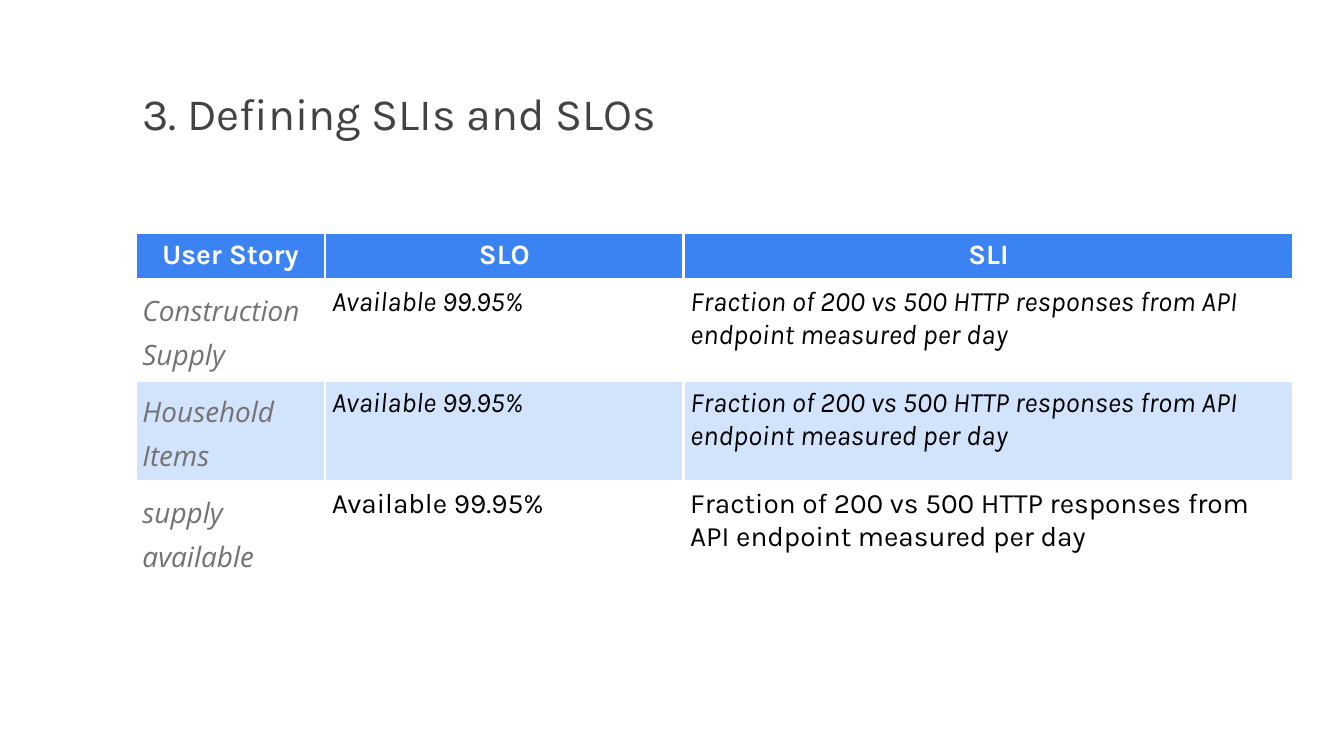
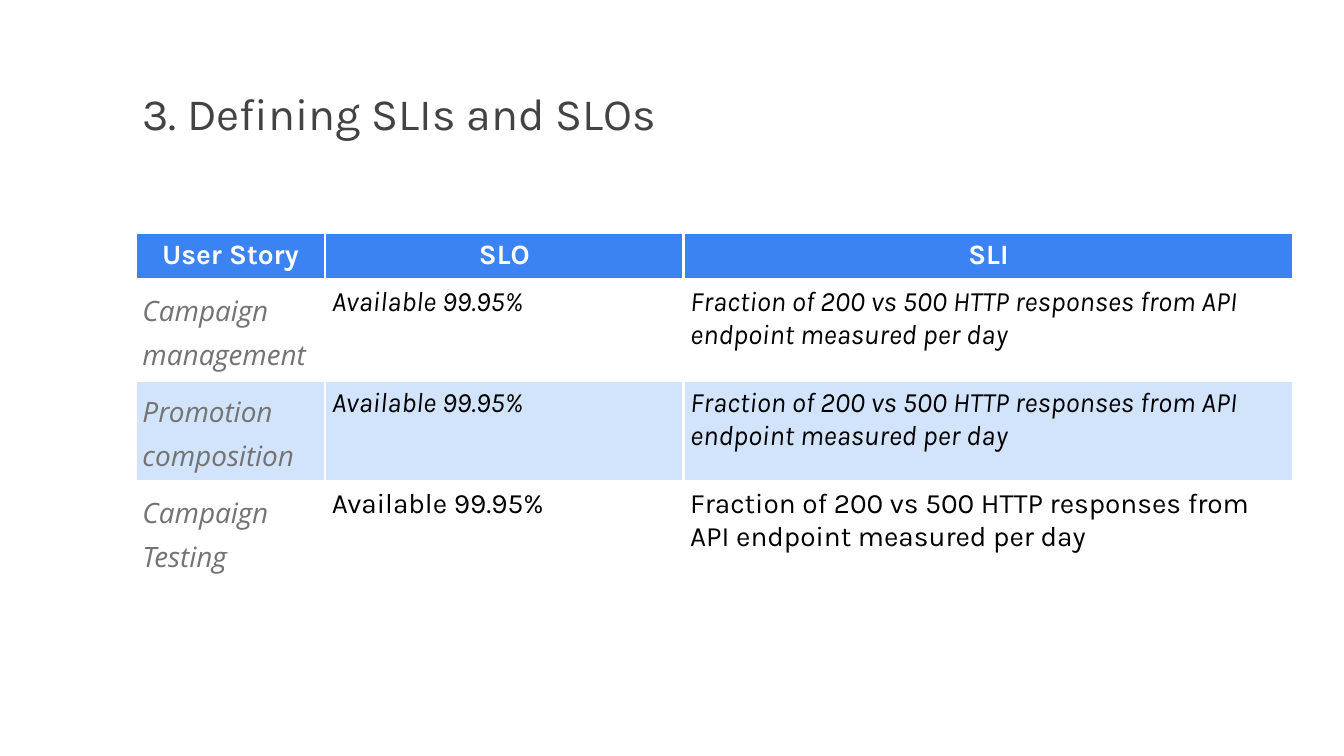
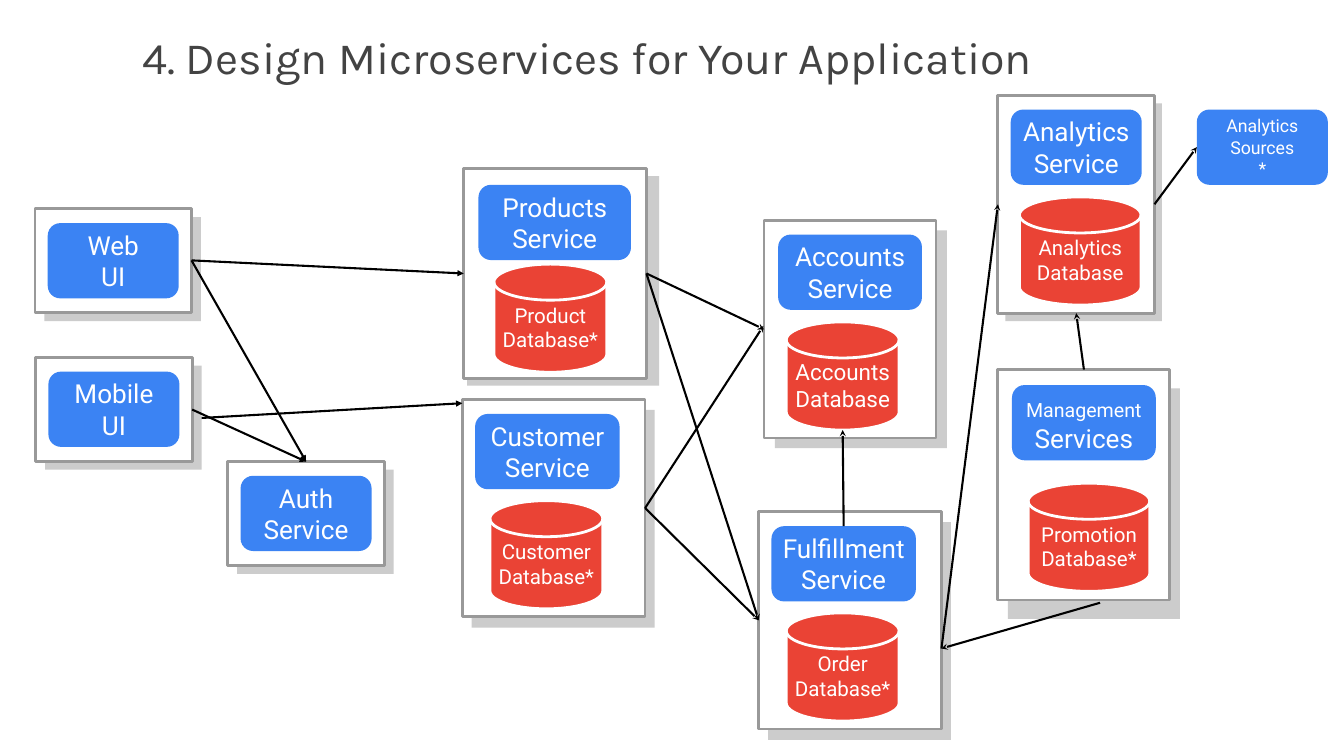
from dataclasses import dataclass, field

import pptx
import pptx.dml.color
import pptx.enum.shapes
import pptx.enum.text
import pptx.oxml
import pptx.oxml.ns
import pptx.util
from lxml import etree

PX = 9144  # EMU per px, 100 px to the inch
SHAPE = pptx.enum.shapes.MSO_SHAPE
CENTER = pptx.enum.text.PP_ALIGN.CENTER
ANCHOR = pptx.enum.text.MSO_ANCHOR
TOP, LEFT, BOTTOM, RIGHT = range(4)


@dataclass(frozen=True)
class Theme:
    white: str = "FFFFFF"
    black: str = "000000"
    blue: str = "3B83F3"
    pale_blue: str = "D2E3FC"
    red: str = "EA4335"
    shadow: str = "CCCCCC"
    frame: str = "999999"
    outline: float = 3
    arrow: float = 2.25
    inset: int = 10
    title: dict = field(default_factory=lambda: dict(name="Karla", size=48, color="434343"))
    header: dict = field(default_factory=lambda: dict(name="Karla", size=30, color="FFFFFF", bold=True))
    story: dict = field(default_factory=lambda: dict(name="Open Sans", size=30, color="737373", italic=True))
    body: dict = field(default_factory=lambda: dict(name="Karla", size=30, color="000000"))
    service: dict = field(default_factory=lambda: dict(name="Roboto", size=28, color="FFFFFF"))
    database: dict = field(default_factory=lambda: dict(name="Roboto", size=22, color="FFFFFF"))


THEME = Theme()


# Shared helpers
def px(*values):
    return [round(v * PX) for v in values]


def rgb(value):
    return pptx.dml.color.RGBColor.from_string(value)


def set_attrs(obj, **values):
    for name, value in values.items():
        setattr(obj, name, value)


def set_margins(obj):
    for side in ("left", "right", "top", "bottom"):
        setattr(obj, f"margin_{side}", THEME.inset * PX)


def format_font(font, fmt):
    for name, value in fmt.items():
        if name == "color":
            font.color.rgb = rgb(value)
        else:
            setattr(font, name, pptx.util.Pt(value) if name == "size" else value)


def write(tf, paragraphs, fmt, **para_format):
    """Each paragraph is a string or a list of (text, size) runs."""
    for i, content in enumerate(paragraphs):
        p = tf.add_paragraph() if i else tf.paragraphs[0]
        set_attrs(p, **para_format)
        runs = [(content, fmt["size"])] if isinstance(content, str) else content
        for text, size in runs:
            r = p.add_run()
            r.text = text
            format_font(r.font, {**fmt, "size": size})


def set_frame(tf, anchor):
    set_attrs(tf, word_wrap=True, vertical_anchor=anchor)
    set_margins(tf)


def add_box(s, kind, box, fill, outline=None, lines=(), fmt=None):
    sp = s.shapes.add_shape(kind, *px(*box))
    sp.shadow.inherit = False
    sp.fill.solid()
    sp.fill.fore_color.rgb = rgb(fill)
    if outline:
        sp.line.color.rgb = rgb(outline)
        sp.line.width = pptx.util.Pt(THEME.outline)
    else:
        sp.line.fill.background()
    if lines:
        set_frame(sp.text_frame, ANCHOR.MIDDLE)
        write(sp.text_frame, lines, fmt, alignment=CENTER)
    return sp


def add_title(s, text, top):
    tf = s.shapes.add_textbox(*px(202, top, 1598, 118)).text_frame
    set_frame(tf, ANCHOR.TOP)
    write(tf, [text], THEME.title)


# Tables of objectives
COLUMNS = [282, 533, 908]
ROW_HEIGHTS = [64, 150, 150, 150, 31]
SLO = "Available 99.95%"
SLI = "Fraction of 200 vs 500 HTTP responses from API endpoint measured per day"


def add_cell_borders(cell):
    tc_pr = cell._tc.get_or_add_tcPr()
    for side in "LRTB":
        ln = etree.SubElement(tc_pr, pptx.oxml.ns.qn(f"a:ln{side}"),
                              w=str(pptx.util.Pt(THEME.outline)))
        fill = etree.SubElement(ln, pptx.oxml.ns.qn("a:solidFill"))
        etree.SubElement(fill, pptx.oxml.ns.qn("a:srgbClr"), val=THEME.white)


def fill_cell(cell, color, text, fmt, **para_format):
    set_margins(cell)
    add_cell_borders(cell)
    if color:
        cell.fill.solid()
        cell.fill.fore_color.rgb = rgb(color)
    else:
        cell.fill.background()
    if text:
        write(cell.text_frame, [text], fmt, **para_format)


def add_objectives_table(s, left, top, stories):
    frame = s.shapes.add_table(len(ROW_HEIGHTS), len(COLUMNS),
                               *px(left, top, sum(COLUMNS), sum(ROW_HEIGHTS)))
    table = frame.table
    set_attrs(table, first_row=False, horz_banding=False)
    for column, width in zip(table.columns, COLUMNS):
        column.width = width * PX
    for row, height in zip(table.rows, ROW_HEIGHTS):
        row.height = height * PX

    for c, text in enumerate(["User Story", "SLO", "SLI"]):
        fill_cell(table.cell(0, c), THEME.blue, text, THEME.header, alignment=CENTER)
    for r, story in enumerate(stories, 1):
        color = THEME.pale_blue if r == 2 else None
        body = {**THEME.body, "italic": r < len(stories)}
        fill_cell(table.cell(r, 0), color, story, THEME.story,
                  line_spacing=1.15, space_after=pptx.util.Pt(16))
        fill_cell(table.cell(r, 1), color, SLO, body)
        fill_cell(table.cell(r, 2), color, SLI, body)
    for c in range(len(COLUMNS)):
        fill_cell(table.cell(len(ROW_HEIGHTS) - 1, c), None, "", THEME.body)


def build_objectives_slide(s, stories):
    add_title(s, "3. Defining SLIs and SLOs", 118)
    add_objectives_table(s, 202, 346, stories)


# Microservice diagram
BUTTON_H, DISK_H = 112, 161


@dataclass
class Service:
    box: tuple
    lines: list
    button: tuple              # dx, dy, width
    shadow: tuple = (14, 12, 0)  # dx, dy, extra width
    disk: tuple = ()           # dx, dy, width
    database: list = ()
    database_size: int = THEME.database["size"]


SERVICES = {
    "web": Service((52, 310, 233, 155), ["Web", "UI"], (19, 22, 195), (14, 13, 0)),
    "mobile": Service((53, 532, 233, 155), ["Mobile", "UI"], (19, 21, 195)),
    "auth": Service((339, 687, 233, 155), ["Auth", "Service"], (19, 21, 195)),
    "products": Service((690, 251, 272, 312), ["Products", "Service"], (22, 24, 227),
                        (5, 11, 14), (45, 142, 168), ["Product", "Database*"]),
    "accounts": Service((1137, 328, 256, 324), ["Accounts", "Service"], (21, 21, 214),
                        (16, 15, 0), (33, 151, 168), ["Accounts", "Database"], 24),
    "customer": Service((688, 594, 272, 324), ["Customer", "Service"], (19, 22, 215),
                        (14, 16, 0), (41, 151, 168), ["Customer", "Database*"]),
    "management": Service((1485, 550, 256, 343), [[("Management", 21), (" Services", 28)]],
                          (21, 23, 214), (15, 28, 0), (45, 169, 181), ["Promotion Database*"]),
    "analytics": Service((1485, 142, 233, 324), ["Analytics", "Service"], (19, 21, 195),
                         (11, 12, 0), (32, 151, 181), ["Analytics Database"]),
    "fulfillment": Service((1129, 761, 272, 324), ["Fulfillment", "Service"], (19, 22, 215),
                           (14, 16, 0), (41, 151, 168), ["Order", "Database*"]),
}

# Ends are (shape, side) where they join a shape, or else (x, y)
ARROWS = [
    (("web", RIGHT), ("auth", TOP), "triangle"),
    (("mobile", RIGHT), ("auth", TOP), "triangle"),
    (("web", RIGHT), ("products", LEFT), "triangle"),
    ((300, 622), (688, 600), "triangle"),
    (("products", RIGHT), ("accounts", LEFT), "stealth"),
    (("customer", RIGHT), (1136, 485), "stealth"),
    (("management", TOP), ("analytics", BOTTOM), "stealth"),
    (("products", RIGHT), ("fulfillment", LEFT), "stealth"),
    (("customer", RIGHT), ("fulfillment", LEFT), "stealth"),
    ((1401, 965), ("analytics", LEFT), "stealth"),
    (("fulfillment button", TOP), (1254, 640), "stealth"),
    ((1637, 897), (1401, 965), "stealth"),
    (("analytics", RIGHT), ("sources", LEFT), "stealth"),
]


def add_service(s, service):
    """Draws one service and returns its card and its button."""
    x, y, w, h = service.box
    dx, dy, extra = service.shadow
    add_box(s, SHAPE.RECTANGLE, (x + dx, y + dy, w + extra, h), THEME.shadow)
    card = add_box(s, SHAPE.RECTANGLE, service.box, THEME.white, THEME.frame)
    dx, dy, width = service.button
    button = add_box(s, SHAPE.ROUNDED_RECTANGLE, (x + dx, y + dy, width, BUTTON_H),
                     THEME.blue, None, service.lines, THEME.service)
    if service.disk:
        dx, dy, width = service.disk
        add_box(s, SHAPE.FLOWCHART_MAGNETIC_DISK, (x + dx, y + dy, width, DISK_H),
                THEME.red, THEME.white, service.database,
                {**THEME.database, "size": service.database_size})
    return card, button


def add_arrow(s, shapes, start, end, head):
    free = [(0, 0) if isinstance(e[0], str) else e for e in (start, end)]
    line = s.shapes.add_connector(pptx.enum.shapes.MSO_CONNECTOR.STRAIGHT,
                                  *px(*free[0], *free[1]))
    for e, connect in ((start, line.begin_connect), (end, line.end_connect)):
        if isinstance(e[0], str):
            connect(shapes[e[0]], e[1])
    line.line.color.rgb = rgb(THEME.black)
    line.line.width = pptx.util.Pt(THEME.arrow)
    etree.SubElement(line.line._get_or_add_ln(), pptx.oxml.ns.qn("a:tailEnd"), type=head)
    etree.SubElement(line._element.spPr, pptx.oxml.ns.qn("a:effectLst"))


def build_services_slide(s):
    add_title(s, "4. Design Microservices for Your Application", 34)
    shapes = {}
    for name, service in SERVICES.items():
        shapes[name], shapes[f"{name} button"] = add_service(s, service)
    shapes["sources"] = add_box(s, SHAPE.ROUNDED_RECTANGLE, (1781, 163, 195, BUTTON_H),
                                THEME.blue, None, ["Analytics", "Sources", "*"],
                                {**THEME.service, "size": 19})
    for start, end, head in ARROWS:
        add_arrow(s, shapes, start, end, head)


def main():
    prs = pptx.Presentation()
    prs.slide_width, prs.slide_height = px(2000, 1125)
    blank = prs.slide_layouts[6]
    for stories in (["Construction Supply", "Household Items", "supply available"],
                    ["Campaign management", "Promotion composition", "Campaign Testing"]):
        build_objectives_slide(prs.slides.add_slide(blank), stories)
    build_services_slide(prs.slides.add_slide(blank))
    prs.save("out.pptx")


if __name__ == "__main__":
    main()
